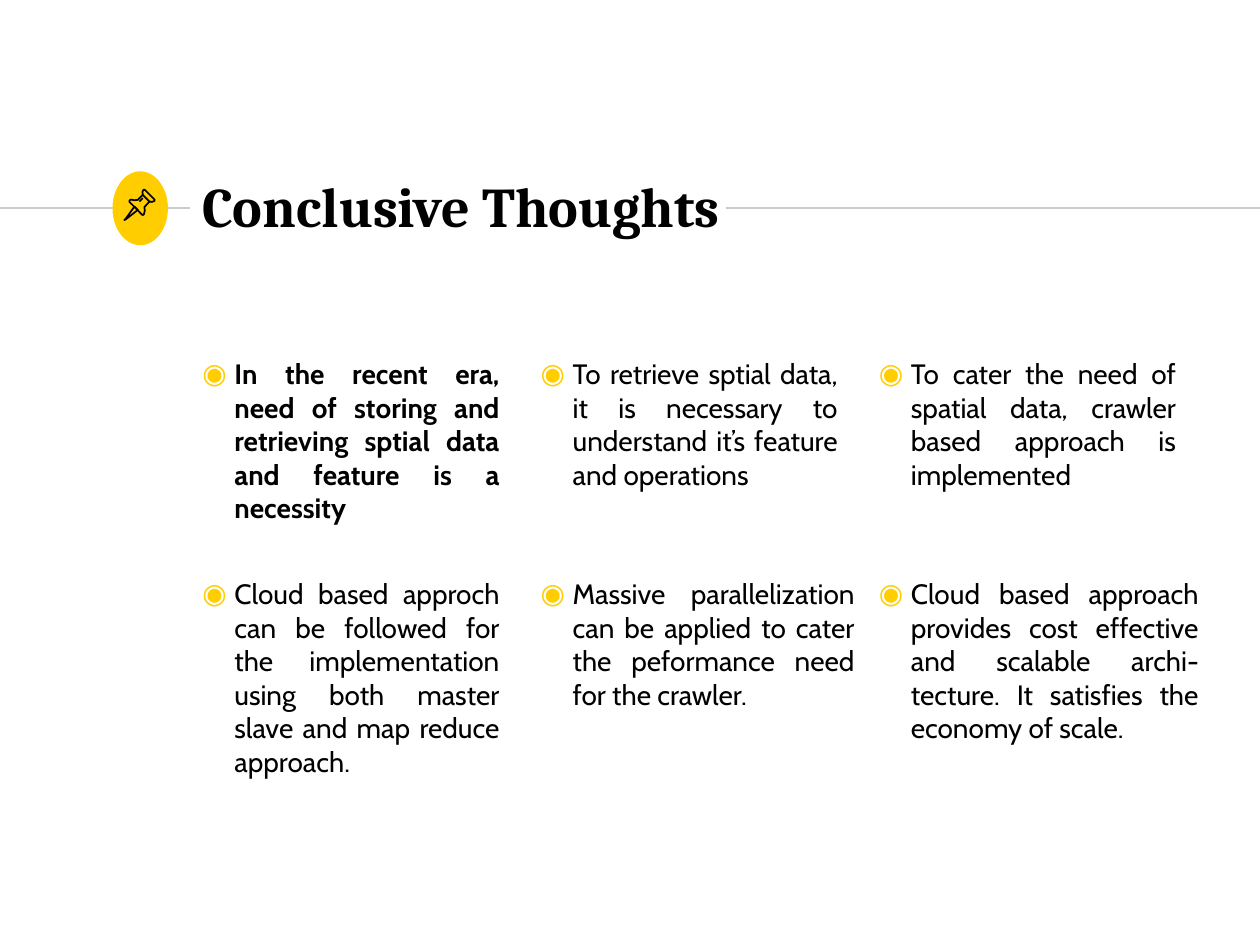
import pptx
import pptx.util
import pptx.dml.color
import pptx.enum.shapes
import pptx.enum.text
import pptx.oxml.ns
import lxml.etree
from dataclasses import dataclass


@dataclass(frozen=True)
class Theme:
    ink: str = "000000"
    accent: str = "FFCD00"
    rule: str = "CCCCCC"
    paper: str = "FFFFFF"
    title_font: str = "Cambria"
    body_font: str = "Cabin"
    title_size: int = 24
    body_size: int = 12
    line_width: float = 0.75


THEME = Theme()
CELL = pptx.util.Inches(0.1)  # the slide is a 4:3 grid of square cells
COLUMNS, ROWS = 75, 56.25
PAD = 0.7
BULLET_INDENT = 1.9

POINTS = [  # text, box width in columns, bold
    [("In the recent era, need of storing and retrieving sptial data "
      "and feature is a necessity", 19.1, True),
     ("To retrieve sptial data, it is necessary to understand it’s "
      "feature and operations", 19.1, False),
     ("To cater the need of spatial data, crawler based approach "
      "is implemented", 19.1, False)],
    [("Cloud based approch can be followed for the implementation "
      "using both master slave and map reduce approach.", 19.1, False),
     ("Massive parallelization can be applied to cater the peformance "
      "need for the crawler.", 20.1, False),
     ("Cloud based approach provides cost effective and scalable "
      "archi-tecture. It satisfies the economy of scale.", 20.45, False)],
]

# Pin outlines in thousandths of an inch on a 330 by 440 disc: points, closed
PIN = [
    ([(130, 210), (80, 280), (70, 290), (80, 285), (150, 230)], True),
    ([(180, 140), (220, 180), (235, 182), (250, 176), (250, 168),
      (192, 110), (184, 110), (178, 122)], True),
    ([(180, 140), (150, 170), (130, 172), (110, 168), (100, 174), (100, 182),
      (178, 260), (186, 258), (192, 235), (190, 212), (220, 180)], False),
    ([(160, 180), (180, 160)], False),
]


def cells(n):
    return pptx.util.Emu(round(n * CELL))


def rgb(color):
    return pptx.dml.color.RGBColor.from_string(color)


def set_line(sp, color):
    sp.line.color.rgb = rgb(color)
    sp.line.width = pptx.util.Pt(THEME.line_width)


def add_rule(slide, x1, x2, y):
    sp = slide.shapes.add_connector(
        pptx.enum.shapes.MSO_CONNECTOR.STRAIGHT,
        cells(x1), cells(y), cells(x2), cells(y))
    set_line(sp, THEME.rule)
    lxml.etree.SubElement(sp._element.spPr, pptx.oxml.ns.qn("a:effectLst"))


def add_text(slide, box, text, font, size, bold):
    sp = slide.shapes.add_textbox(*map(cells, box))
    tf = sp.text_frame
    tf.word_wrap = True
    tf.margin_left = tf.margin_right = cells(PAD)
    tf.margin_top = tf.margin_bottom = cells(PAD)
    p = tf.paragraphs[0]
    r = p.add_run()
    r.text = text
    r.font.name = font
    r.font.size = pptx.util.Pt(size)
    r.font.bold = bold
    r.font.color.rgb = rgb(THEME.ink)
    return tf


def add_bullet(p):
    pPr = p._p.get_or_add_pPr()
    pPr.set("marL", str(cells(BULLET_INDENT)))
    pPr.set("indent", str(-cells(BULLET_INDENT)))
    color = lxml.etree.SubElement(pPr, pptx.oxml.ns.qn("a:buClr"))
    lxml.etree.SubElement(color, pptx.oxml.ns.qn("a:srgbClr"), val=THEME.accent)
    lxml.etree.SubElement(pPr, pptx.oxml.ns.qn("a:buFont"), typeface=THEME.body_font)
    lxml.etree.SubElement(pPr, pptx.oxml.ns.qn("a:buChar"), char="◉")


def pin_badge(slide, box):
    x, y, w, h = map(cells, box)
    # Disc
    sp = slide.shapes.add_shape(pptx.enum.shapes.MSO_SHAPE.OVAL, x, y, w, h)
    sp.shadow.inherit = False
    sp.fill.solid()
    sp.fill.fore_color.rgb = rgb(THEME.accent)
    sp.line.fill.background()
    # Pin
    for outline, closed in PIN:
        pen = slide.shapes.build_freeform(*outline[0], scale=(w / 330, h / 440))
        pen.add_line_segments(outline[1:], close=closed)
        sp = pen.convert_to_shape(x, y)
        sp.shadow.inherit = False
        sp.fill.background()
        set_line(sp, THEME.ink)


def heading(slide, box):
    x, y, w, h = box
    middle = y + h / 2
    # Rules either side of the title
    add_rule(slide, 0, x + 11.3, middle)
    add_rule(slide, x + 43.2, x + w, middle)
    pin_badge(slide, (x + 6.7, y, 3.3, h))
    # Title
    tf = add_text(slide, (x + 11.35, y + 0.2, 36.5, 3.6), "Conclusive Thoughts",
                  THEME.title_font, THEME.title_size, True)
    tf.vertical_anchor = pptx.enum.text.MSO_ANCHOR.MIDDLE


def point_grid(slide, box):
    x, y, w, h = box
    column, row = w / len(POINTS[0]), h / len(POINTS)
    for j, line in enumerate(POINTS):
        for i, (text, width, bold) in enumerate(line):
            tf = add_text(slide, (x + i * column, y + j * row, width, 9.9),
                          text, THEME.body_font, THEME.body_size, bold)
            p = tf.paragraphs[0]
            p.alignment = pptx.enum.text.PP_ALIGN.JUSTIFY
            add_bullet(p)


prs = pptx.Presentation()
prs.slide_width, prs.slide_height = cells(COLUMNS), cells(ROWS)
s = prs.slides.add_slide(prs.slide_layouts[6])
s.background.fill.solid()
s.background.fill.fore_color.rgb = rgb(THEME.paper)
heading(s, (0, 10.2, COLUMNS, 4.4))
point_grid(s, (11.35, 20.52, 60.4, 26.2))
prs.save("out.pptx")
